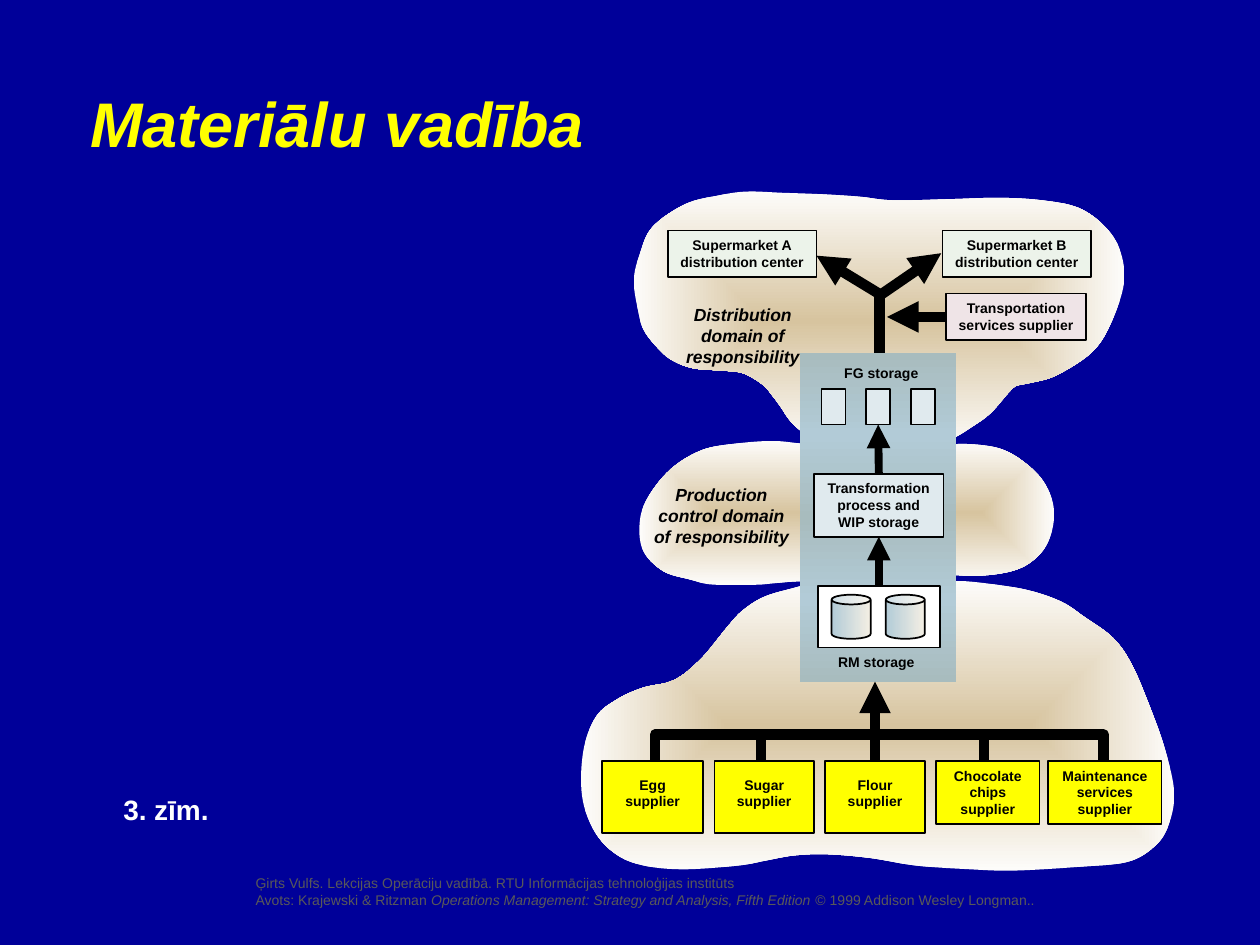
from copy import deepcopy
from lxml import etree
from pptx import Presentation
from pptx.dml.color import RGBColor
from pptx.enum import shapes, text
from pptx.oxml.ns import qn
from pptx.util import Inches, Pt

NAVY = RGBColor(0x00, 0x00, 0x99)
YELLOW = RGBColor(0xFF, 0xFF, 0x00)
WHITE = RGBColor(0xFF, 0xFF, 0xFF)
BLACK = RGBColor(0x00, 0x00, 0x00)
GRAY = RGBColor(0x59, 0x59, 0x59)
TAN = RGBColor(0xD7, 0xC4, 0x9F)
CREAM = RGBColor(0xFD, 0xFC, 0xFA)
SAND = RGBColor(0xF4, 0xEF, 0xE4)
SLATE = RGBColor(0xA8, 0xBC, 0xBE)
SKY = RGBColor(0xB2, 0xCB, 0xD7)
ICE = RGBColor(0xE0, 0xEA, 0xEE)
MINT = RGBColor(0xEC, 0xF3, 0xEA)
PINK = RGBColor(0xEF, 0xE4, 0xE7)
RECT = shapes.MSO_SHAPE.RECTANGLE
CAN = shapes.MSO_SHAPE.CAN
LEFT, CENTER = text.PP_ALIGN.LEFT, text.PP_ALIGN.CENTER


def add_box(place, kind=None, fill=None, outlined=True):
    place = [Inches(length) for length in place]
    if kind is None:
        return page.shapes.add_textbox(*place)
    box = page.shapes.add_shape(kind, *place)
    box.shadow.inherit = False
    if fill is not None:
        box.fill.solid()
        box.fill.fore_color.rgb = fill
    if outlined:
        box.line.color.rgb = BLACK
        box.line.width = Pt(1)
    else:
        box.line.fill.background()
    return box


def write(box, lines, size=8, color=BLACK, bold=True, italic=False, align=CENTER, wrap=False):
    frame = box.text_frame
    frame.word_wrap = wrap
    frame.vertical_anchor = text.MSO_ANCHOR.TOP
    for number, line in enumerate(lines):
        para = frame.paragraphs[0] if number == 0 else frame.add_paragraph()
        para.alignment = align
        for order, words in enumerate(line):
            span = para.add_run()
            span.text = words
            span.font.name = "Arial"
            span.font.size = Pt(size)
            span.font.bold = bold
            span.font.italic = italic != (order % 2 == 1)
            span.font.color.rgb = color


deck = Presentation()
deck.slide_width, deck.slide_height = Inches(10), Inches(7.5)
page = deck.slides.add_slide(deck.slide_layouts[6])
page.background.fill.solid()
page.background.fill.fore_color.rgb = NAVY

write(add_box((1.93, 6.89, 6.4, 0.37)), [
    ["Ģirts Vulfs. Lekcijas Operāciju vadībā. RTU Informācijas tehnoloģijas institūts"],
    ["Avots: Krajewski & Ritzman ",
     "Operations Management: Strategy and Analysis, Fifth Edition",
     " © 1999 Addison Wesley Longman.."],
], color=GRAY, bold=False, align=LEFT)

supply_domain = [
    (6.47, 4.63), (6.29, 4.67), (6.06, 4.74), (5.89, 4.85), (5.77, 4.98), (5.61, 5.18),
    (5.5, 5.29), (5.4, 5.37), (5.29, 5.42), (5.1, 5.46), (4.9, 5.55), (4.73, 5.69),
    (4.63, 5.96), (4.62, 6.32), (4.72, 6.6), (4.89, 6.78), (5.11, 6.87), (5.43, 6.9),
    (5.86, 6.87), (6.08, 6.83), (6.3, 6.79), (6.56, 6.78), (6.91, 6.81), (7.27, 6.87),
    (7.7, 6.9), (8.05, 6.91), (8.57, 6.88), (8.95, 6.84), (9.16, 6.72), (9.27, 6.56),
    (9.32, 6.3), (9.25, 5.96), (9.13, 5.62), (8.98, 5.27), (8.83, 5.06), (8.61, 4.9),
    (8.43, 4.78), (8.18, 4.69), (7.9, 4.64), (7.61, 4.61), (7.31, 4.61), (6.81, 4.61)]
distribution_domain = [
    (7.09, 1.59), (7.56, 1.58), (7.94, 1.57), (8.27, 1.59), (8.56, 1.65), (8.77, 1.8),
    (8.89, 1.99), (8.92, 2.25), (8.81, 2.58), (8.66, 2.8), (8.38, 2.98), (8.17, 3.04),
    (8.07, 3.06), (8.01, 3.11), (7.86, 3.28), (7.71, 3.39), (7.54, 3.49), (7.34, 3.55),
    (7.08, 3.57), (6.85, 3.56), (6.56, 3.52), (6.4, 3.45), (6.28, 3.35), (6.19, 3.22),
    (6.13, 3.14), (6.05, 3.05), (5.89, 2.96), (5.7, 2.94), (5.49, 2.92), (5.32, 2.85),
    (5.2, 2.74), (5.11, 2.62), (5.07, 2.49), (5.03, 2.23), (5.08, 2.01), (5.18, 1.8),
    (5.44, 1.62), (5.71, 1.55), (5.93, 1.52), (6.21, 1.53), (6.49, 1.54), (6.81, 1.56)]
production_domain = [
    (6.62, 3.55), (6.35, 3.52), (6.13, 3.5), (5.85, 3.52), (5.58, 3.57), (5.34, 3.71),
    (5.16, 3.92), (5.08, 4.12), (5.1, 4.36), (5.26, 4.53), (5.48, 4.6), (5.66, 4.64),
    (6.04, 4.64), (6.24, 4.62), (6.6, 4.6), (6.91, 4.57), (7.24, 4.55), (7.41, 4.55),
    (7.76, 4.57), (8.07, 4.52), (8.26, 4.39), (8.35, 4.21), (8.36, 4.01), (8.28, 3.82),
    (8.13, 3.67), (7.96, 3.57), (7.76, 3.53), (7.52, 3.53), (7.2, 3.59), (6.94, 3.6),
    (6.75, 3.57)]

gradients = []
for anchors in (supply_domain, distribution_domain, production_domain):
    outline = [(Inches(x), Inches(y)) for x, y in anchors]
    builder = page.shapes.build_freeform(*outline[0], scale=1.0)
    builder.add_line_segments(outline[1:] + outline[:1], close=True)
    domain = builder.convert_to_shape()
    domain.shadow.inherit = False
    domain.line.fill.background()
    gradients.append((domain, (TAN, CREAM), None))
    corners = [(x - domain.left, y - domain.top) for x, y in outline]
    for index, segment in enumerate(list(domain._element.iter(qn("a:lnTo")))):
        before, start, end, after = [corners[(index + k) % len(corners)] for k in (-1, 0, 1, 2)]
        segment.tag = qn("a:cubicBezTo")
        for spot, (base, ahead, behind) in enumerate(((start, end, before), (end, start, after))):
            x, y = [round(b + (a - c) / 6) for b, a, c in zip(base, ahead, behind)]
            segment.insert(spot, etree.Element(qn("a:pt"), x=str(x), y=str(y)))

for top, height in ((2.8, 1.31), (4.11, 1.3)):
    panel = add_box((6.35, top, 1.24, height), RECT, outlined=False)
    gradients.append((panel, (SLATE, SKY, SLATE), 90))

suppliers = []
for left, width, height, inset, label in (
        (4.78, 0.8, 0.57, 0.12, "Egg supplier"),
        (5.67, 0.79, 0.57, 0.12, "Sugar supplier"),
        (6.55, 0.79, 0.57, 0.12, "Flour supplier"),
        (7.43, 0.82, 0.5, 0.05, "Chocolate chips supplier"),
        (8.32, 0.9, 0.5, 0.05, "Maintenance services supplier")):
    supplier = add_box((left, 6.04, width, height), RECT, YELLOW)
    supplier.text_frame.margin_top = Inches(inset)
    write(supplier, [[label]], wrap=True)
    suppliers.append(supplier)

for left, name in ((5.3, "Supermarket A"), (7.48, "Supermarket B")):
    write(add_box((left, 1.83, 1.18, 0.37), RECT, MINT), [[name], ["distribution center"]])
transport = add_box((7.51, 2.33, 1.11, 0.37), RECT, PINK)
write(transport, [["Transportation"], ["services supplier"]])

transformation = add_box((6.46, 3.76, 1.03, 0.5), RECT, ICE)
write(transformation, [["Transformation process and WIP storage"]], wrap=True)
raw_store = add_box((6.49, 4.65, 0.97, 0.49), RECT, WHITE)
for left in (6.6, 7.03):
    gradients.append((add_box((left, 4.72, 0.31, 0.35), CAN), (SAND, SKY), 180))
bins = [add_box((6.52 + 0.355 * column, 3.09, 0.19, 0.28), RECT, ICE) for column in range(3)]

for place, label in (((6.6, 2.84, 0.79, 0.24), "FG storage"), ((6.55, 5.14, 0.81, 0.24), "RM storage")):
    write(add_box(place), [[label]])
for place, label in (((5.33, 2.36, 1.13, 0.6), "Distribution domain of responsibility"),
                     ((5.07, 3.79, 1.31, 0.6), "Production control domain of responsibility")):
    write(add_box(place), [[label]], size=10, italic=True, wrap=True)
write(add_box((0.62, 0.62, 4.12, 0.7)), [["Materiālu vadība"]], 36, YELLOW, italic=True, align=LEFT)
write(add_box((0.88, 6.24, 0.88, 0.37)), [["3. zīm."]], 16, WHITE, align=LEFT)

HEAD, TAIL = "a:headEnd", "a:tailEnd"
strokes = []
for points, arrows in (([(5.2, 6.04), (5.2, 5.83), (8.76, 5.83), (8.76, 6.04)], ()),
                       ([(6.48, 2.03), (6.99, 2.34), (7.47, 2.01)], (HEAD, TAIL))):
    bends = [(Inches(x), Inches(y)) for x, y in points]
    builder = page.shapes.build_freeform(*bends[0], scale=1.0)
    builder.add_line_segments(bends[1:], close=False)
    route = builder.convert_to_shape()
    route.fill.background()
    strokes.append((route, 6, arrows))

for ends, weight, arrows, source, target in (
        ((6.04, 6.04, 6.04, 5.83), 6, (), None, None),
        ((7.81, 6.04, 7.81, 5.83), 6, (), None, None),
        ((6.945, 6.04, 6.945, 5.41), 6, (TAIL,), (suppliers[2], 0), None),
        ((6.98, 2.34, 6.98, 2.8), 6, (), None, None),
        ((7.51, 2.515, 7.04, 2.515), 6, (TAIL,), (transport, 1), None),
        ((6.97, 4.26, 6.97, 4.65), 4.5, (HEAD,), (transformation, 2), (raw_store, 0)),
        ((6.97, 3.37, 6.97, 3.76), 4.5, (HEAD,), (bins[1], 2), (transformation, 0))):
    link = page.shapes.add_connector(shapes.MSO_CONNECTOR.STRAIGHT, *[Inches(value) for value in ends])
    if source:
        link.begin_connect(*source)
    if target:
        link.end_connect(*target)
    strokes.append((link, weight, arrows))

for stroke, weight, arrows in strokes:
    stroke.line.color.rgb = BLACK
    stroke.line.width = Pt(weight)
    for arrow in arrows:
        etree.SubElement(stroke.line._get_or_add_ln(), qn(arrow), type="triangle")
    etree.SubElement(stroke._element.spPr, qn("a:effectLst"))

for shape, colors, angle in gradients:
    shape.fill.gradient()
    gradient = shape._element.spPr.find(qn("a:gradFill"))
    stop_list = gradient.find(qn("a:gsLst"))
    for extra in colors[2:]:
        stop_list.append(deepcopy(stop_list[-1]))
    for order, (stop, color) in enumerate(zip(shape.fill.gradient_stops, colors)):
        stop.position = order / (len(colors) - 1)
        stop.color.rgb = color
    if angle is None:
        gradient.remove(gradient.find(qn("a:lin")))
        radial = etree.Element(qn("a:path"), path="rect")
        etree.SubElement(radial, qn("a:fillToRect"), l="50000", t="50000", r="50000", b="50000")
        stop_list.addnext(radial)
    else:
        shape.fill.gradient_angle = angle

deck.save("out.pptx")
